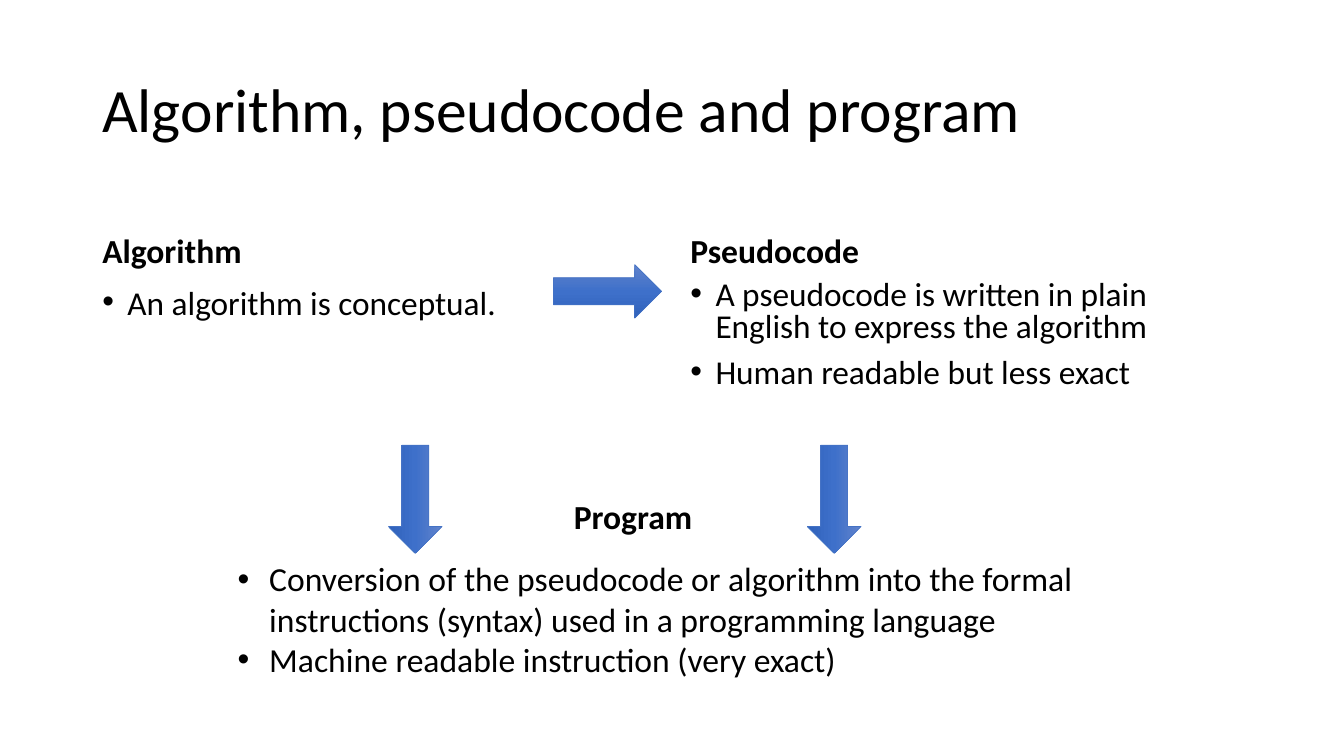
from lxml import etree
from pptx import Presentation
from pptx.dml.color import RGBColor
from pptx.enum.shapes import MSO_SHAPE as SHAPE
from pptx.enum.text import MSO_ANCHOR as ANCHOR
from pptx.oxml.ns import qn
from pptx.util import Emu, Pt

PX = 9525
ARROW_STOPS = [(0, "6183CB"), (50, "3E70CA"), (100, "3062BB")]
ARROW_W, ARROW_H = 103, 51


def px(n):
    """Turn whole px into EMU."""
    return Emu(n * PX)


def color(hex_text):
    """Turn a hex string into a colour."""
    return RGBColor.from_string(hex_text)


def add_bullet(p, indent):
    """Give a paragraph a hanging round bullet."""
    pPr = p._p.get_or_add_pPr()
    pPr.set("marL", str(px(indent)))
    pPr.set("indent", str(px(-indent)))
    etree.SubElement(pPr, qn("a:buFont")).set("typeface", "Arial")
    etree.SubElement(pPr, qn("a:buChar")).set("char", "•")


def add_text(s, box, lines, size=24, bold=False, anchor=ANCHOR.TOP,
             spacing=None, before=0, indent=0, wrap=True):
    """Place a text box with one paragraph for each line."""
    tf = s.shapes.add_textbox(*map(px, box)).text_frame
    tf.word_wrap = wrap
    tf.vertical_anchor = anchor
    for i, line in enumerate(lines):
        p = tf.add_paragraph() if i else tf.paragraphs[0]
        if spacing:
            p.line_spacing = spacing
        if i and before:
            p.space_before = Pt(before)
        if indent:
            add_bullet(p, indent)
        r = p.add_run()
        r.text = line
        r.font.name = "Calibri"
        r.font.size = Pt(size)
        r.font.bold = bold
        r.font.color.rgb = color("000000")


def add_title(s, box, title):
    """Place the slide title."""
    add_text(s, box, [title], size=44, anchor=ANCHOR.MIDDLE, spacing=0.9)


def add_column(s, box, heading, points, gap=0):
    """Place a heading with its bulleted points below."""
    x, y, w, h = box
    head_h = 86
    add_text(s, (x, y, w, head_h), [heading], bold=True,
             anchor=ANCHOR.BOTTOM, spacing=0.9)
    add_text(s, (x, y + head_h + gap, w, h - head_h - gap), points,
             size=23.8, spacing=0.8, before=10, indent=24)


def add_program(s, box, heading, points):
    """Place the program heading and its points below."""
    x, y, w, h = box
    add_text(s, (x + 320, y, 133, 48), [heading], bold=True, wrap=False)
    add_text(s, (x, y + 59, w, h - 59), points, indent=30)


def add_arrow(s, x, y, rotation=0):
    """Place a gradient block arrow."""
    sp = s.shapes.add_shape(SHAPE.RIGHT_ARROW, px(x), px(y), px(ARROW_W), px(ARROW_H))
    sp.rotation = rotation
    sp.shadow.inherit = False
    sp.fill.gradient()
    sp.fill.gradient_angle = 270
    stops = sp._element.spPr.find(qn("a:gradFill")).find(qn("a:gsLst"))
    for gs in list(stops):
        stops.remove(gs)
    for percent, hex_text in ARROW_STOPS:
        gs = etree.SubElement(stops, qn("a:gs"), pos=str(percent * 1000))
        etree.SubElement(gs, qn("a:srgbClr"), val=hex_text)
    sp.line.color.rgb = color("4472C4")
    sp.line.width = Pt(0.5)


def main():
    """Build the slide and save it."""
    prs = Presentation()
    prs.slide_width, prs.slide_height = px(1280), px(720)
    s = prs.slides.add_slide(prs.slide_layouts[6])
    add_title(s, (88, 38, 1104, 139), "Algorithm, pseudocode and program")
    add_column(s, (88, 177, 541, 139), "Algorithm",
               ["An algorithm is conceptual."], gap=8)
    add_column(s, (648, 177, 544, 473), "Pseudocode",
               ["A pseudocode is written in plain English to express the algorithm",
                "Human readable but less exact"])
    add_program(s, (217, 468, 860, 185), "Program",
                ["Conversion of the pseudocode or algorithm into the formal "
                 "instructions (syntax) used in a programming language",
                 "Machine readable instruction (very exact)"])
    add_arrow(s, 527, 252)
    for x in (743, 344):
        add_arrow(s, x, 450, rotation=90)
    prs.save("out.pptx")


if __name__ == "__main__":
    main()
